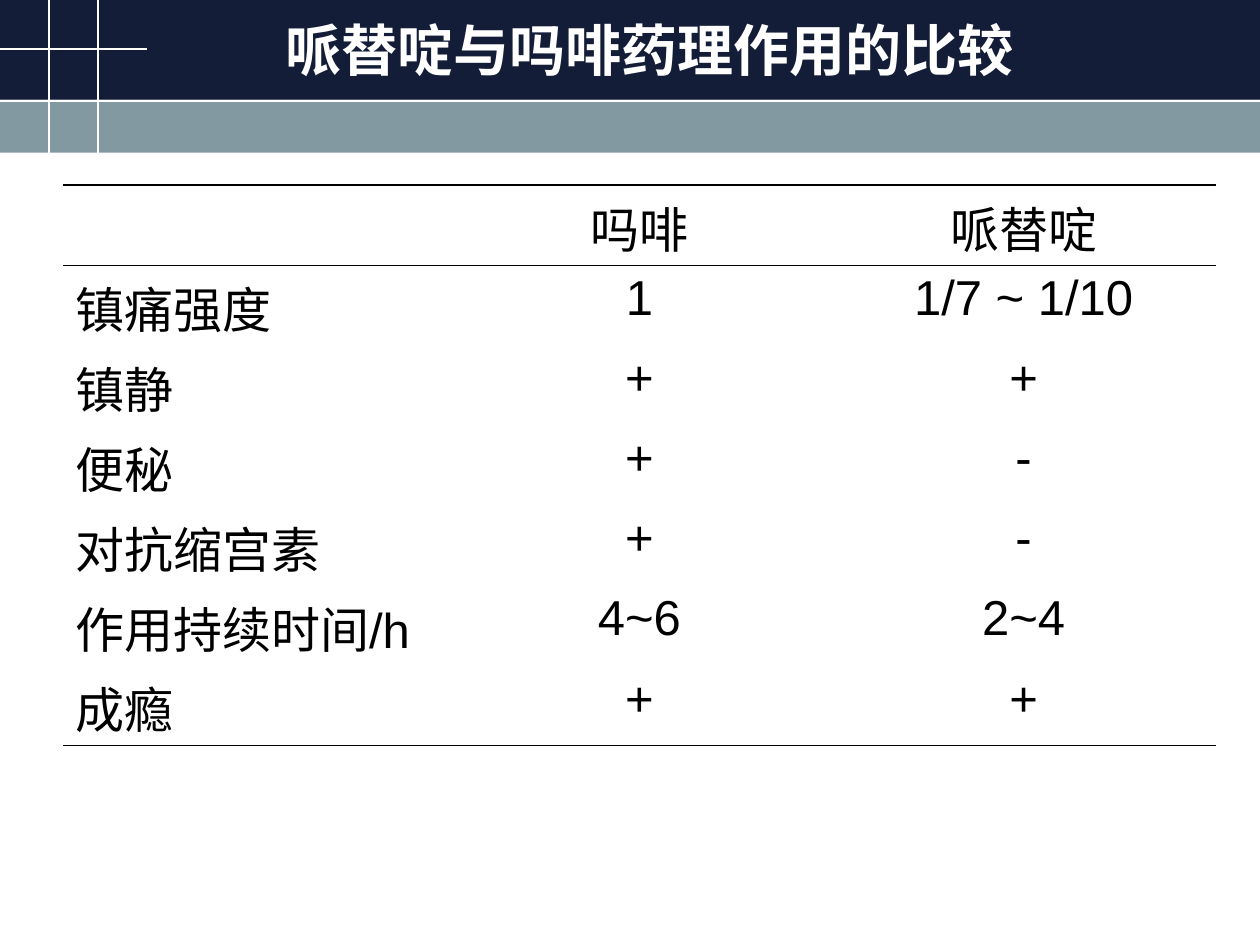
from lxml import etree
from pptx import Presentation
from pptx.dml.color import RGBColor
from pptx.enum.shapes import MSO_CONNECTOR, MSO_SHAPE
from pptx.enum.text import MSO_ANCHOR, PP_ALIGN
from pptx.oxml.ns import qn
from pptx.util import Cm, Pt

RECTANGLE = MSO_SHAPE.RECTANGLE
STRAIGHT = MSO_CONNECTOR.STRAIGHT
LEFT, CENTER = PP_ALIGN.LEFT, PP_ALIGN.CENTER
TOP, MIDDLE = MSO_ANCHOR.TOP, MSO_ANCHOR.MIDDLE

COLORS = {"navy": "131D37", "slate": "8399A1", "white": "FFFFFF", "black": "000000"}
FONT = "Arial"
SLIDE_WIDTH, SLIDE_HEIGHT = 25.4, 19.05
HEADER_HEIGHT, BAND_HEIGHT = 2.01, 1.07
THICK, THIN = 1.08, 0.45

TITLE = "哌替啶与吗啡药理作用的比较"
COMPARISON = [
    ("", "吗啡", "哌替啶"),
    ("镇痛强度", "1", "1/7 ~ 1/10"),
    ("镇静", "+", "+"),
    ("便秘", "+", "-"),
    ("对抗缩宫素", "+", "-"),
    ("作用持续时间/h", "4~6", "2~4"),
    ("成瘾", "+", "+"),
]


def rgb(name):
    return RGBColor.from_string(COLORS[name])


def write_text(frame, text, *, size, color, bold=False, align=LEFT):
    paragraph = frame.paragraphs[0]
    paragraph.alignment = align
    paragraph.space_before = Pt(0)
    run = paragraph.add_run()
    run.text = text
    run.font.name = FONT
    run.font.size = Pt(size)
    run.font.bold = bold
    run.font.color.rgb = rgb(color)


def add_band(slide, top, height, color):
    band = slide.shapes.add_shape(RECTANGLE, 0, Cm(top), Cm(SLIDE_WIDTH), Cm(height))
    band.shadow.inherit = False
    band.fill.solid()
    band.fill.fore_color.rgb = rgb(color)
    band.line.fill.background()


def add_rule(slide, x1, y1, x2, y2):
    rule = slide.shapes.add_connector(STRAIGHT, Cm(x1), Cm(y1), Cm(x2), Cm(y2))
    rule.line.color.rgb = rgb("white")
    rule.line.width = Pt(1)
    etree.SubElement(rule.element.spPr, qn("a:effectLst"))


def add_header(slide):
    add_band(slide, HEADER_HEIGHT, BAND_HEIGHT, "slate")
    add_band(slide, 0, HEADER_HEIGHT, "navy")
    add_rule(slide, 1.98, 0, 1.98, 3.15)
    add_rule(slide, 0, 0.99, 2.97, 0.99)
    add_rule(slide, 0.99, -0.05, 0.99, 3.15)
    add_rule(slide, 0, 2.03, SLIDE_WIDTH, 2.03)


def format_title(slide):
    title = slide.shapes.title
    title.left, title.top = Cm(5.51), Cm(0.18)
    title.width, title.height = Cm(15.19), Cm(1.63)
    frame = title.text_frame
    frame.word_wrap = False
    frame.margin_left = frame.margin_right = 0
    frame.vertical_anchor = MIDDLE
    write_text(frame, TITLE, size=32, color="white", bold=True, align=CENTER)
    # The title has to lie in front of the header bands.
    slide.shapes.element.append(title.element)


def set_borders(cell, top, bottom):
    """Draw the horizontal borders at the given widths; 0 means no border."""
    properties = cell._tc.get_or_add_tcPr()
    widths = {"a:lnL": 0, "a:lnR": 0, "a:lnT": top, "a:lnB": bottom}
    for position, (tag, width) in enumerate(widths.items()):
        border = etree.Element(qn(tag), w=str(Pt(width)))
        if width:
            fill = etree.SubElement(border, qn("a:solidFill"))
            etree.SubElement(fill, qn("a:srgbClr"), val=COLORS["black"])
        else:
            etree.SubElement(border, qn("a:noFill"))
        properties.insert(position, border)


def add_comparison_table(slide):
    row_count, column_count = len(COMPARISON), len(COMPARISON[0])
    table = slide.shapes.add_table(
        row_count, column_count, Cm(1.27), Cm(3.73), Cm(23.24), Cm(11.3)
    ).table
    table.first_row = False
    table.horz_banding = False
    # Widths of the lines above the first row, below each row in turn.
    rules = [THICK, THIN] + [0] * (row_count - 2) + [THICK]
    for row, texts in enumerate(COMPARISON):
        for column, text in enumerate(texts):
            cell = table.cell(row, column)
            cell.fill.background()
            cell.vertical_anchor = TOP
            # A slim bottom margin keeps the tall glyphs within the row height.
            cell.margin_bottom = Cm(0.03)
            set_borders(cell, rules[row], rules[row + 1])
            if text:
                write_text(cell.text_frame, text, size=28, color="black",
                           align=CENTER if column else LEFT)


def main():
    presentation = Presentation()
    presentation.slide_width = Cm(SLIDE_WIDTH)
    presentation.slide_height = Cm(SLIDE_HEIGHT)
    slide = presentation.slides.add_slide(presentation.slide_layouts[5])
    add_header(slide)
    format_title(slide)
    add_comparison_table(slide)
    presentation.save("out.pptx")


if __name__ == "__main__":
    main()
